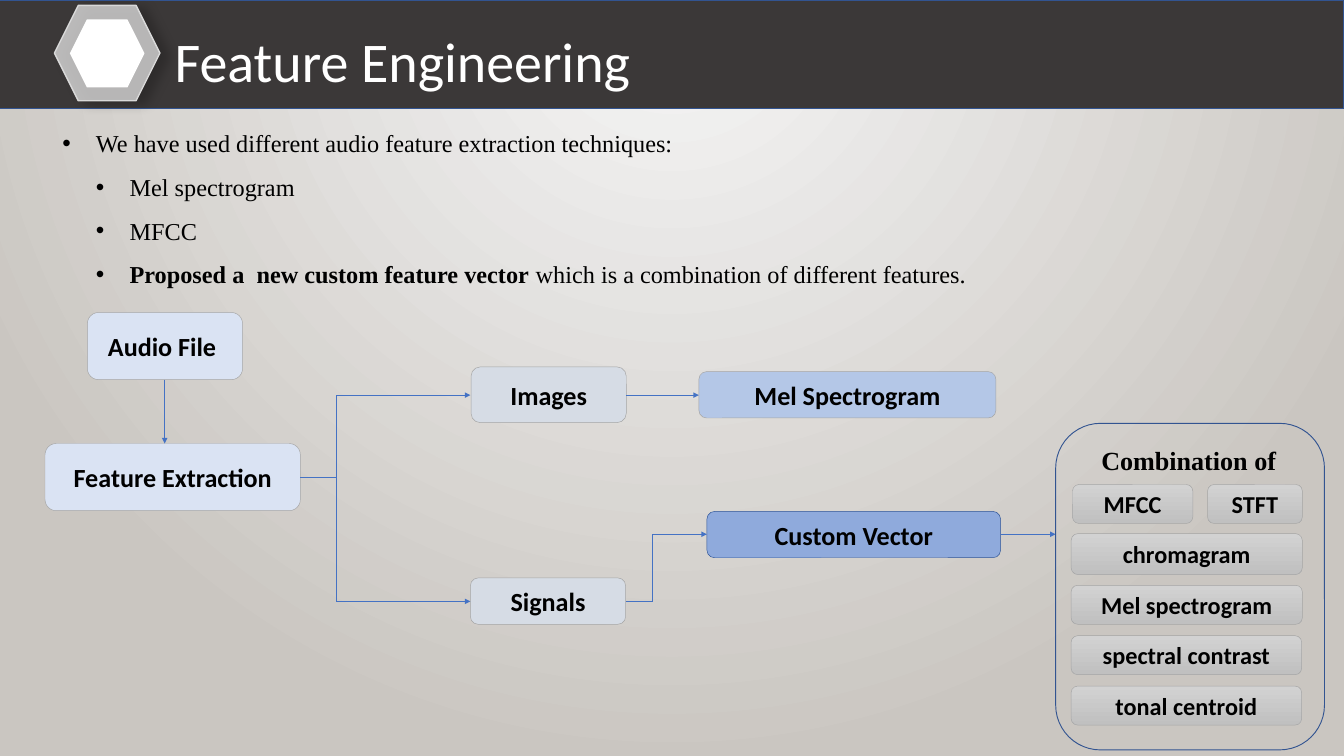
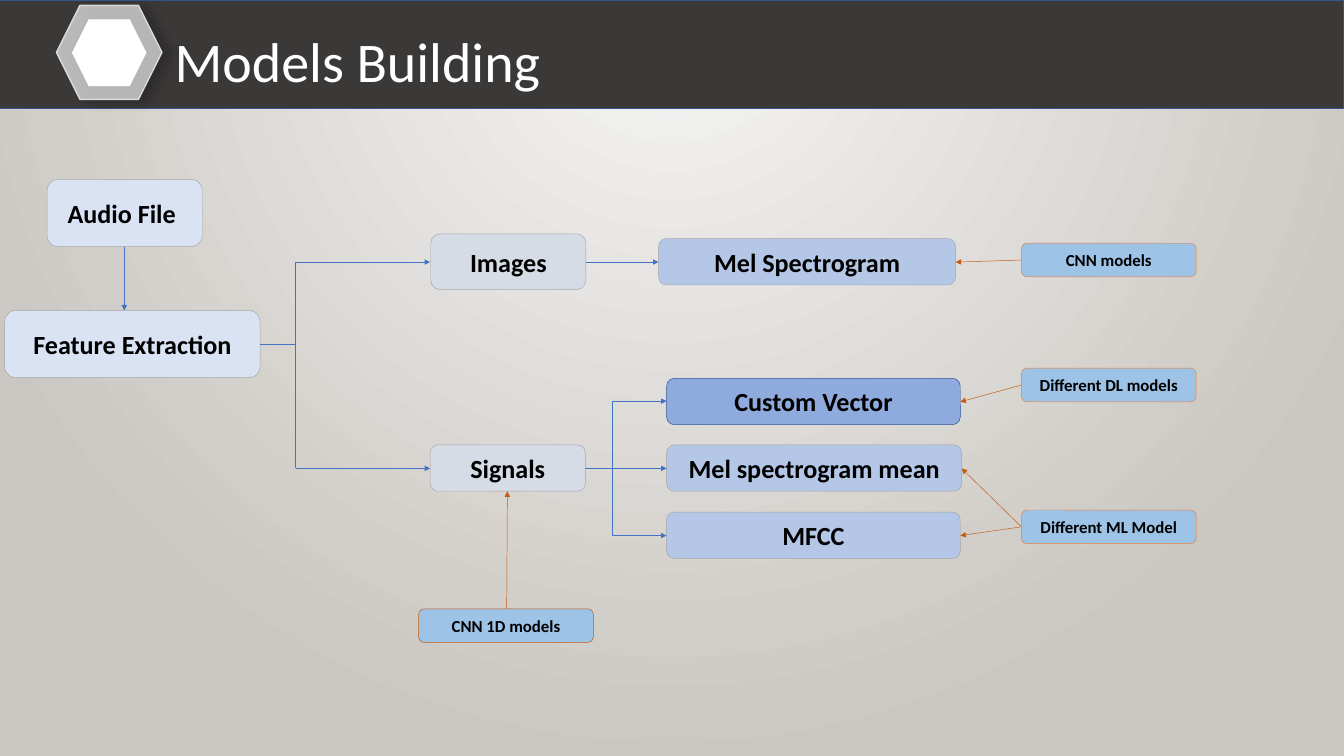
import pptx
import pptx.util
import pptx.dml.color
import pptx.enum.shapes
import pptx.enum.text
import pptx.oxml
import pptx.oxml.ns
from lxml import etree

Inches = pptx.util.Inches
Pt = pptx.util.Pt
RGB = pptx.dml.color.RGBColor
qn = pptx.oxml.ns.qn
KIND = pptx.enum.shapes.MSO_SHAPE
ALIGN = pptx.enum.text.PP_ALIGN
GROW = pptx.enum.text.MSO_AUTO_SIZE.SHAPE_TO_FIT_TEXT

BLACK = RGB(0x00, 0x00, 0x00)
WHITE = RGB(0xFF, 0xFF, 0xFF)
GLOW = RGB(0xF6, 0xF6, 0xF6)
STONE = RGB(0xCA, 0xC6, 0xC1)
BAND = RGB(0x3B, 0x38, 0x38)
NAVY = RGB(0x32, 0x54, 0x91)
FROST = RGB(0xF2, 0xF2, 0xF2)
SILVER = RGB(0xD9, 0xD9, 0xD9)
GREY = RGB(0xA5, 0xA5, 0xA5)
PALE = RGB(0xDA, 0xE3, 0xF3)
MIST = RGB(0xD6, 0xDC, 0xE5)
SKY = RGB(0xB4, 0xC7, 0xE7)
BLUE = RGB(0x8F, 0xAA, 0xDC)
DEEP = RGB(0x2F, 0x55, 0x97)
WIRE = RGB(0x44, 0x72, 0xC4)
AQUA = RGB(0x9D, 0xC3, 0xE6)
ORANGE = RGB(0xED, 0x7D, 0x31)
RUST = RGB(0xC5, 0x5A, 0x11)
LIGHT = RGB(0xD2, 0xD2, 0xD2)
DARK = RGB(0xC0, 0xC0, 0xC0)
SANS = "Calibri"
SERIF = "Times New Roman"


def write(para, text, size, font=SANS, color=BLACK, bold=False):
    run = para.add_run()
    run.text = text
    run.font.size = Pt(size)
    run.font.name = font
    run.font.color.rgb = color
    run.font.bold = bold


def box(host, kind, spot, fill, edge, width=0.5, text="", size=28):
    shape = host.add_shape(kind, *map(Inches, spot))
    shape.shadow.inherit = False
    if fill is None:
        shape.fill.background()
    else:
        shape.fill.solid()
        shape.fill.fore_color.rgb = fill
    if edge is None:
        shape.line.fill.background()
    else:
        shape.line.color.rgb = edge
        shape.line.width = Pt(width)
    if text:
        para = shape.text_frame.paragraphs[0]
        para.alignment = ALIGN.CENTER
        write(para, text, size, bold=True)
    return shape


NODES = [
    ("Feature Extraction", 0.67, 6.6, 3.8, 1, PALE, GREY),
    ("Images", 7.01, 5.46, 2.31, 0.83, MIST, GREY),
    ("Signals", 7, 8.6, 2.31, 0.69, MIST, GREY),
    ("Audio File ", 1.3, 4.65, 2.31, 1, PALE, GREY),
    ("Mel Spectrogram", 10.4, 5.53, 4.42, 0.69, SKY, GREY),
    ("Custom Vector", 10.52, 7.61, 4.37, 0.69, BLUE, DEEP),
]
LINKS = [
    (2.45, 5.65, 2.45, 6.6, True),
    (4.47, 7.1, 5, 7.1, False),
    (5, 5.88, 5, 8.95, False),
    (5, 5.88, 7, 5.88, True),
    (5, 8.95, 7, 8.95, True),
    (9.32, 5.88, 10.4, 5.88, True),
    (9.31, 8.95, 9.71, 8.95, False),
    (9.71, 7.95, 9.71, 8.95, False),
    (9.71, 7.95, 10.52, 7.95, True),
]
MEANS = [
    ("Mel spectrogram mean", 9.92, 6.62, 4.39, 0.69, SKY, GREY),
    ("MFCC", 9.92, 7.62, 4.37, 0.69, SKY, GREY),
]
TO_SET = [(14.89, 7.95, 15.71, 7.95, True, WIRE)]
TO_MEANS = [
    (9.11, 6.97, 9.11, 7.97, False, WIRE),
    (9.11, 6.97, 9.92, 6.97, True, WIRE),
    (9.11, 7.97, 9.92, 7.97, True, WIRE),
    (15.2, 3.87, 14.22, 3.9, True, RUST),
    (7.54, 9.06, 7.55, 7.31, True, RUST),
    (15.2, 5.73, 14.29, 5.98, True, RUST),
    (15.2, 7.84, 14.29, 7.97, True, RUST),
    (15.2, 7.84, 14.31, 6.97, True, RUST),
]
PAGES = [
    ("Feature Engineering", 7.83, 0.81, 1.42, 0, 0, [], TO_SET),
    ("Models Building", 6.37, 0.84, 1.4, -0.6, -1.98, MEANS, TO_MEANS),
]

deck = pptx.Presentation()
deck.slide_width = Inches(20)
deck.slide_height = Inches(11.25)

for title, wide, left, high, dx, dy, nodes, links in PAGES:
    slide = deck.slides.add_slide(deck.slide_layouts[6])
    shapes = slide.shapes

    back = slide.background.fill
    back.gradient()
    for stop, color in zip(back.gradient_stops, (GLOW, STONE)):
        stop.color.rgb = color
    grad = slide.element.find(".//" + qn("a:gradFill"))
    grad.remove(grad.find(qn("a:lin")))
    ring = etree.SubElement(grad, qn("a:path"), path="circle")
    etree.SubElement(ring, qn("a:fillToRect"), l="43000", t="0", r="43000", b="100000")

    box(shapes, KIND.RECTANGLE, (-0.03, 0, 20.03, 1.62), BAND, NAVY, 1)
    head = shapes.add_textbox(Inches(2.5), Inches(0.12), Inches(wide), Inches(1.34))
    head.text_frame.word_wrap = False
    head.text_frame.auto_size = GROW
    para = head.text_frame.paragraphs[0]
    para.line_spacing = Pt(88)
    write(para, title, 60, color=WHITE)

    badge = shapes.add_group_shape().shapes
    rim = box(badge, KIND.HEXAGON, (left, 0.08, 1.57, high), FROST, SILVER, 1.5)
    tint = rim.element.spPr.find(qn("a:solidFill")).find(qn("a:srgbClr"))
    etree.SubElement(tint, qn("a:alpha"), val="70000")
    glow = etree.SubElement(
        rim.element.spPr.find(qn("a:effectLst")), qn("a:outerShdw"),
        blurRad=str(Pt(12)), dist=str(Pt(10)), dir=str(16 * 60000),
        algn="tl", rotWithShape="0")
    shade = etree.SubElement(glow, qn("a:srgbClr"), val="000000")
    etree.SubElement(shade, qn("a:alpha"), val="31000")
    box(badge, KIND.HEXAGON, (left + 0.23, 0.29, 1.11, high - 0.41), WHITE, None)

    flow = [(text, x + dx, y + dy, w, h, fill, edge)
            for text, x, y, w, h, fill, edge in NODES]
    for text, x, y, w, h, fill, edge in flow + nodes:
        box(shapes, KIND.ROUNDED_RECTANGLE, (x, y, w, h), fill, edge, text=text)

    wires = [(x + dx, y + dy, u + dx, v + dy, tip, WIRE)
             for x, y, u, v, tip in LINKS]
    for x, y, u, v, tip, color in wires + links:
        wire = shapes.add_connector(
            pptx.enum.shapes.MSO_CONNECTOR.STRAIGHT, *map(Inches, (x, y, u, v)))
        wire.line.color.rgb = color
        wire.line.width = Pt(0.5)
        prop = wire.element.spPr
        if tip:
            etree.SubElement(prop.find(qn("a:ln")), qn("a:tailEnd"), type="triangle")
        etree.SubElement(prop, qn("a:effectLst"))

MODELS = [
    ("CNN models", 15.2, 3.62, ORANGE),
    ("Different ML Model", 15.2, 7.59, ORANGE),
    ("Different DL models", 15.2, 5.48, ORANGE),
    ("CNN 1D models", 6.23, 9.06, RUST),
]
for text, x, y, edge in MODELS:
    box(deck.slides[1].shapes, KIND.ROUNDED_RECTANGLE, (x, y, 2.6, 0.5),
        AQUA, edge, text=text, size=18)

shapes = deck.slides[0].shapes
box(shapes, KIND.ROUNDED_RECTANGLE, (15.71, 6.3, 4, 4.86), None, NAVY, 1)
PILLS = [
    ("MFCC", 15.96, 7.21, 1.79, 0.58),
    ("STFT", 17.97, 7.21, 1.41, 0.58),
    ("chromagram", 15.94, 7.94, 3.44, 0.61),
    ("Mel spectrogram", 15.94, 8.71, 3.44, 0.58),
    ("spectral contrast", 15.94, 9.46, 3.43, 0.58),
    ("tonal centroid", 15.94, 10.21, 3.43, 0.58),
]
for text, *spot in PILLS:
    pill = box(shapes, KIND.ROUNDED_RECTANGLE, spot, None, GREY, text=text, size=26)
    pill.fill.gradient()
    pill.fill.gradient_angle = 270
    for stop, color in zip(pill.fill.gradient_stops, (LIGHT, DARK)):
        stop.color.rgb = color

label = shapes.add_textbox(Inches(16.29), Inches(6.56), Inches(2.84), Inches(0.57))
label.text_frame.word_wrap = False
label.text_frame.auto_size = GROW
write(label.text_frame.paragraphs[0], "Combination of", 28, SERIF, bold=True)

POINTS = [
    (1, [("We have used different audio feature extraction techniques: ", False)]),
    (2, [("Mel spectrogram ", False)]),
    (2, [("MFCC ", False)]),
    (2, [("Proposed a  new custom feature vector", True),
         (" which is a combination of different features.", False)]),
]
body = shapes.add_textbox(Inches(0.33), Inches(1.65), Inches(18.75), Inches(2.65))
frame = body.text_frame
frame.word_wrap = True
frame.auto_size = GROW
for rank, (level, runs) in enumerate(POINTS):
    para = frame.add_paragraph() if rank else frame.paragraphs[0]
    para.level = level
    para.alignment = ALIGN.JUSTIFY
    para.line_spacing = 1.5
    prop = para._p.get_or_add_pPr()
    prop.set("marL", str(Inches(0.5 + level / 2)))
    prop.set("indent", str(Inches(-0.5)))
    etree.SubElement(prop, qn("a:buFont"), typeface="Arial")
    etree.SubElement(prop, qn("a:buChar"), char="•")
    for text, bold in runs:
        write(para, text, 26, SERIF, bold=bold)

deck.save("out.pptx")
